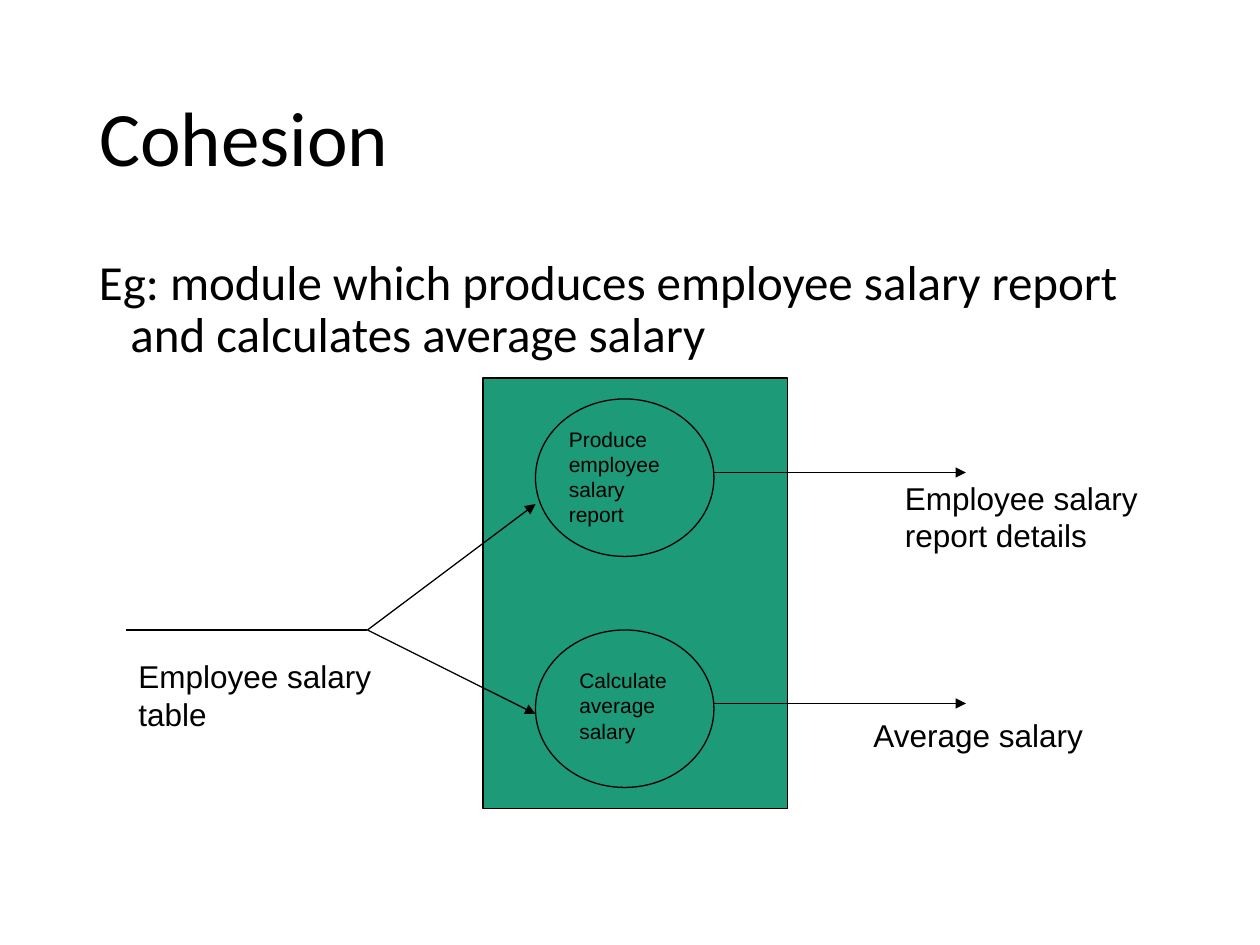
from dataclasses import dataclass

from lxml.etree import SubElement
from pptx import Presentation
from pptx.dml.color import RGBColor
from pptx.enum.shapes import MSO_CONNECTOR, MSO_SHAPE
from pptx.enum.text import MSO_ANCHOR, MSO_AUTO_SIZE, PP_ALIGN
from pptx.oxml.ns import qn
from pptx.util import Pt


@dataclass(frozen=True)
class Theme:
    ink: RGBColor = RGBColor(0x00, 0x00, 0x00)
    module_fill: RGBColor = RGBColor(0x1D, 0x9A, 0x78)
    heading_font: str = "Calibri"
    label_font: str = "Arial"
    title_size: int = 44
    body_size: int = 28
    flow_size: int = 18
    function_size: int = 12
    line_width: float = 0.75


class SlideBuilder:
    """Draws themed elements on one slide, with all lengths in points."""

    def __init__(self, slide, theme):
        self.slide = slide
        self.theme = theme

    def add_text(self, frame, text, font, size):
        frame.word_wrap = True
        paragraph = frame.paragraphs[0]
        paragraph.alignment = PP_ALIGN.LEFT
        run = paragraph.add_run()
        run.text = text
        run.font.name = font
        run.font.size = Pt(size)
        run.font.color.rgb = self.theme.ink
        return paragraph

    def title(self, text, left, top, width, height):
        heading = self.slide.shapes.title
        heading.left, heading.top = Pt(left), Pt(top)
        heading.width, heading.height = Pt(width), Pt(height)
        frame = heading.text_frame
        frame.auto_size = MSO_AUTO_SIZE.NONE
        frame.vertical_anchor = MSO_ANCHOR.MIDDLE
        paragraph = self.add_text(frame, text, self.theme.heading_font, self.theme.title_size)
        paragraph.line_spacing = 0.9

    def text_box(self, left, top, width, height):
        box = self.slide.shapes.add_textbox(Pt(left), Pt(top), Pt(width), Pt(height))
        return box.text_frame

    def body(self, text, left, top, width, height, hanging):
        frame = self.text_box(left, top, width, height)
        paragraph = self.add_text(frame, text, self.theme.heading_font, self.theme.body_size)
        paragraph.line_spacing = 0.9
        properties = paragraph._p.get_or_add_pPr()
        properties.set("marL", str(Pt(hanging)))
        properties.set("indent", str(-Pt(hanging)))

    def label(self, text, left, top, width, height, size):
        frame = self.text_box(left, top, width, height)
        self.add_text(frame, text, self.theme.label_font, size)
        frame.auto_size = MSO_AUTO_SIZE.SHAPE_TO_FIT_TEXT

    def shape(self, kind, left, top, width, height):
        shape = self.slide.shapes.add_shape(kind, Pt(left), Pt(top), Pt(width), Pt(height))
        shape.shadow.inherit = False
        shape.fill.solid()
        shape.fill.fore_color.rgb = self.theme.module_fill
        shape.line.color.rgb = self.theme.ink
        shape.line.width = Pt(self.theme.line_width)

    def line(self, start, end, arrow=True):
        connector = self.slide.shapes.add_connector(
            MSO_CONNECTOR.STRAIGHT, *map(Pt, start), *map(Pt, end))
        connector.line.color.rgb = self.theme.ink
        connector.line.width = Pt(self.theme.line_width)
        if arrow:
            SubElement(connector.line._get_or_add_ln(), qn("a:tailEnd"), type="triangle")
        SubElement(connector._element.spPr, qn("a:effectLst"))


def main():
    presentation = Presentation()
    presentation.slide_width, presentation.slide_height = Pt(720), Pt(540)
    theme = Theme()
    builder = SlideBuilder(
        presentation.slides.add_slide(presentation.slide_layouts[5]), theme)

    builder.title("Cohesion", 49.5, 28.75, 621, 104.4)
    builder.body("Eg: module which produces employee salary report and calculates average salary",
                 49.5, 143.75, 621, 342.6, hanging=18)

    builder.shape(MSO_SHAPE.RECTANGLE, 276, 216, 174, 246)
    function_left, function_width = 306, 102
    function_right = function_left + function_width
    for top in (228, 360):
        builder.shape(MSO_SHAPE.OVAL, function_left, top, function_width, 90)
    builder.label("Produce employee salary report", 318, 240, 78, 65, theme.function_size)
    builder.label("Calculate average salary", 324, 378, 78, 50, theme.function_size)

    fork = (210, 360)
    builder.label("Employee salary table", 72, 372, 180, 50, theme.flow_size)
    builder.line((72, 360), fork, arrow=False)
    for input_y in (288, 408):
        builder.line(fork, (function_left, input_y))
    for output_y in (270, 402):
        builder.line((function_right, output_y), (552, output_y))
    builder.label("Employee salary report details", 510, 270, 198, 50, theme.flow_size)
    builder.label("Average salary", 492, 405.5, 198, 29, theme.flow_size)

    presentation.save("out.pptx")


if __name__ == "__main__":
    main()
